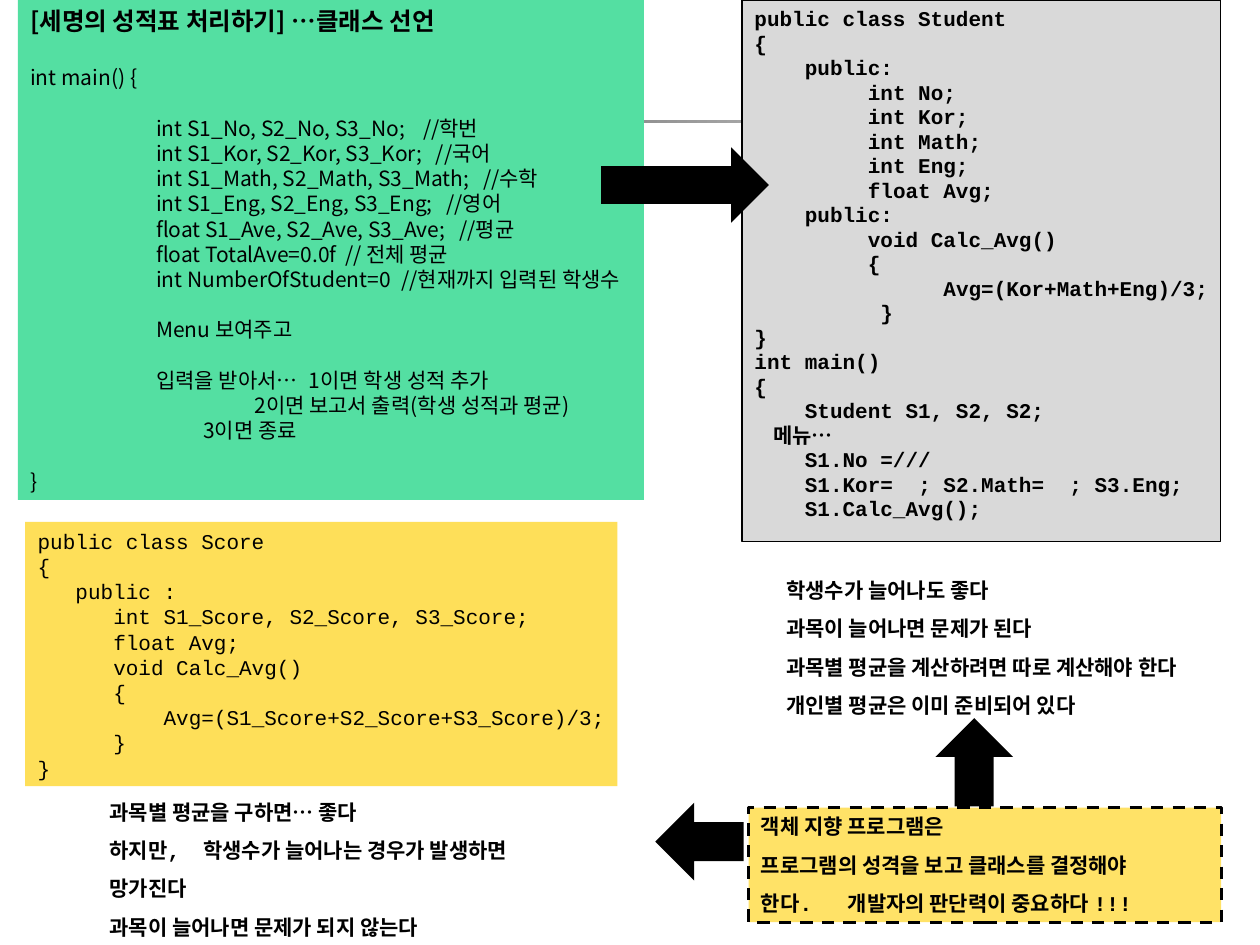
from dataclasses import dataclass

import lxml.etree
import pptx
import pptx.dml.color
import pptx.enum.dml
import pptx.enum.shapes
import pptx.enum.text
import pptx.oxml.ns
import pptx.util

Cm = pptx.util.Cm
Pt = pptx.util.Pt
KIND = pptx.enum.shapes.MSO_SHAPE
SANS = "Noto Sans CJK KR"
MONO = "Courier New"
CHAR = 0.254
INK = {
    "black": "000000",
    "green": "54DFA2",
    "grey": "D9D9D9",
    "yellow": "FEDF59",
    "amber": "FFE267",
    "dark": "1C1C1C",
    "white": "FFFFFF",
}


@dataclass
class Line:
    text: str
    stops: tuple = ()
    gap: float = 0


@dataclass
class Box:
    left: float
    top: float
    width: float
    height: float
    fill: str = ""
    edge: float = 0
    dash: bool = False
    turn: int = 0


MAIN = [
    Line("int main() {"),
    Line("\tint S1_No, S2_No, S3_No;\t//학번", (2.54, 7.92), 14.4),
    Line("\tint S1_Kor, S2_Kor, S3_Kor;\t//국어", (2.54, 8.18)),
    Line("\tint S1_Math, S2_Math, S3_Math;\t//수학", (2.54, 9.13)),
    Line("\tint S1_Eng, S2_Eng, S3_Eng;\t//영어", (2.54, 8.39)),
    Line("\tfloat S1_Ave, S2_Ave, S3_Ave;\t//평균", (2.54, 8.65)),
    Line("\tfloat TotalAve=0.0f\t// 전체 평균", (2.54, 6.35)),
    Line("\tint NumberOfStudent=0\t//현재까지 입력된 학생수", (2.54, 7.48)),
    Line("\tMenu 보여주고", (2.54,), 14.4),
    Line("\t입력을 받아서…\t1이면 학생 성적 추가", (2.54, 5.62), 14.4),
    Line("\t2이면 보고서 출력(학생 성적과 평균)", (4.52,)),
    Line("\t3이면 종료", (3.49,)),
    Line("}", gap=14.4),
]
PUPIL = [
    Line("public class Student"),
    Line("{"),
    Line("\tpublic:", (4,)),
    *[Line(f"\t{part};", (9,)) for part in
      ("int No", "int Kor", "int Math", "int Eng", "float Avg")],
    Line("\tpublic:", (4,)),
    Line("\tvoid Calc_Avg()", (9,)),
    Line("\t{", (9,)),
    Line("\tAvg=(Kor+Math+Eng)/3;", (15,)),
    Line("\t}", (10,)),
    Line("}"),
    Line("int main()"),
    Line("{"),
    Line("\tStudent S1, S2, S2;", (4,)),
    Line("\t메뉴…", (1.5,)),
    Line("\tS1.No =///", (4,)),
    Line("\tS1.Kor=\t; S2.Math=\t; S3.Eng;", (4, 13, 25)),
    Line("\tS1.Calc_Avg();", (4,)),
]
SCORE = [
    Line("public class Score"),
    Line("{"),
    Line("\tpublic :", (3,)),
    Line("\tint S1_Score, S2_Score, S3_Score;", (6,)),
    Line("\tfloat Avg;", (6,)),
    Line("\tvoid Calc_Avg()", (6,)),
    Line("\t{", (6,)),
    Line("\tAvg=(S1_Score+S2_Score+S3_Score)/3;", (10,)),
    Line("\t}", (6,)),
    Line("}"),
]
COURSE = [
    Line("과목별 평균을 구하면… 좋다"),
    Line("하지만,\t학생수가 늘어나는 경우가 발생하면", (1.89,), 7.5),
    Line("망가진다", gap=7.5),
    Line("과목이 늘어나면 문제가 되지 않는다", gap=7.5),
]
GROWTH = [
    Line("학생수가 늘어나도 좋다"),
    Line("과목이 늘어나면 문제가 된다", gap=7.5),
    Line("과목별 평균을 계산하려면 따로 계산해야 한다", gap=7.5),
    Line("개인별 평균은 이미 준비되어 있다", gap=7.5),
]
MORAL = [
    Line("객체 지향 프로그램은"),
    Line("프로그램의 성격을 보고 클래스를 결정해야", gap=7.5),
    Line("한다.\t개발자의 판단력이 중요하다 !!!", (1.75,), 7.5),
]


def tint(name: str) -> pptx.dml.color.RGBColor:
    return pptx.dml.color.RGBColor.from_string(INK[name])


def write(shape, lines: list[Line], font: str = MONO, size: float = 12,
          bold: bool = False, pitch: float = 14.4, unit: float = 1,
          head: float = 0.13) -> None:
    frame = shape.text_frame
    frame.word_wrap = True
    frame.auto_size = pptx.enum.text.MSO_AUTO_SIZE.NONE
    frame.vertical_anchor = pptx.enum.text.MSO_ANCHOR.TOP
    frame.margin_left, frame.margin_top = Cm(0.25), Cm(head)
    frame.margin_right = frame.margin_bottom = 0
    for index, line in enumerate(lines):
        para = frame.add_paragraph() if index else frame.paragraphs[0]
        para.alignment = pptx.enum.text.PP_ALIGN.LEFT
        para.line_spacing = Pt(pitch)
        para.space_before = Pt(line.gap)
        if line.stops:
            tabs = lxml.etree.SubElement(
                para._p.get_or_add_pPr(), pptx.oxml.ns.qn("a:tabLst"))
            for stop in line.stops:
                lxml.etree.SubElement(tabs, pptx.oxml.ns.qn("a:tab"),
                                      pos=str(Cm(stop * unit)), algn="l")
        run = para.add_run()
        run.text = line.text
        run.font.size, run.font.bold, run.font.name = Pt(size), bold, font
        run.font.color.rgb = tint("black")
        lxml.etree.SubElement(run._r.get_or_add_rPr(),
                              pptx.oxml.ns.qn("a:ea"), typeface=SANS)


def draw(slide, box: Box, kind=KIND.RECTANGLE):
    place = [Cm(n) for n in (box.left, box.top, box.width, box.height)]
    if not box.fill:
        return slide.shapes.add_textbox(*place)
    shape = slide.shapes.add_shape(kind, *place)
    shape.shadow.inherit = False
    shape.rotation = box.turn
    shape.fill.solid()
    shape.fill.fore_color.rgb = tint(box.fill)
    if box.edge:
        shape.line.color.rgb = tint("black")
        shape.line.width = Pt(box.edge)
        if box.dash:
            shape.line.dash_style = pptx.enum.dml.MSO_LINE.DASH
    else:
        shape.line.fill.background()
    return shape


def main() -> None:
    deck = pptx.Presentation()
    deck.slide_width, deck.slide_height = Cm(25.4), Cm(19.05)
    slide = deck.slides.add_slide(deck.slide_layouts[5])

    rule = draw(slide, Box(1.22, 2.41, 22.86, 0.08, "dark"))
    rule.fill.gradient()
    rule.fill.gradient_angle = 0
    for stop, name in zip(rule.fill.gradient_stops, ("dark", "white")):
        stop.color.rgb = tint(name)

    write(draw(slide, Box(0.36, 0, 12.62, 10.08, "green")), MAIN,
          font=SANS, head=1.31)
    title = slide.shapes.title
    title.left, title.top, title.width, title.height = map(
        Cm, (0.36, 0, 12.62, 0.8))
    write(title, [Line("[세명의 성적표 처리하기] …클래스 선언")],
          font=SANS, size=14, bold=True, pitch=16.8)
    title.element.getparent().append(title.element)

    write(draw(slide, Box(14.96, 0, 9.65, 10.92, "grey", 0.75)), PUPIL,
          bold=True, pitch=14, unit=CHAR)
    write(draw(slide, Box(0.51, 10.52, 11.94, 5.33, "yellow")), SCORE,
          unit=CHAR)
    write(draw(slide, Box(1.96, 15.98, 8.59, 3.1)), COURSE, bold=True)
    write(draw(slide, Box(15.6, 11.51, 8.48, 3.86)), GROWTH, bold=True)
    write(draw(slide, Box(15.09, 16.28, 9.53, 2.31, "amber", 1.75, True)),
          MORAL, bold=True)

    for arrow in (Box(12.12, 2.97, 3.38, 1.52, "black"),
                  Box(18.75, 14.58, 1.78, 1.57, "black", turn=270),
                  Box(13.21, 16.18, 1.78, 1.57, "black", turn=180)):
        draw(slide, arrow, KIND.RIGHT_ARROW)

    deck.save("out.pptx")


if __name__ == "__main__":
    main()
